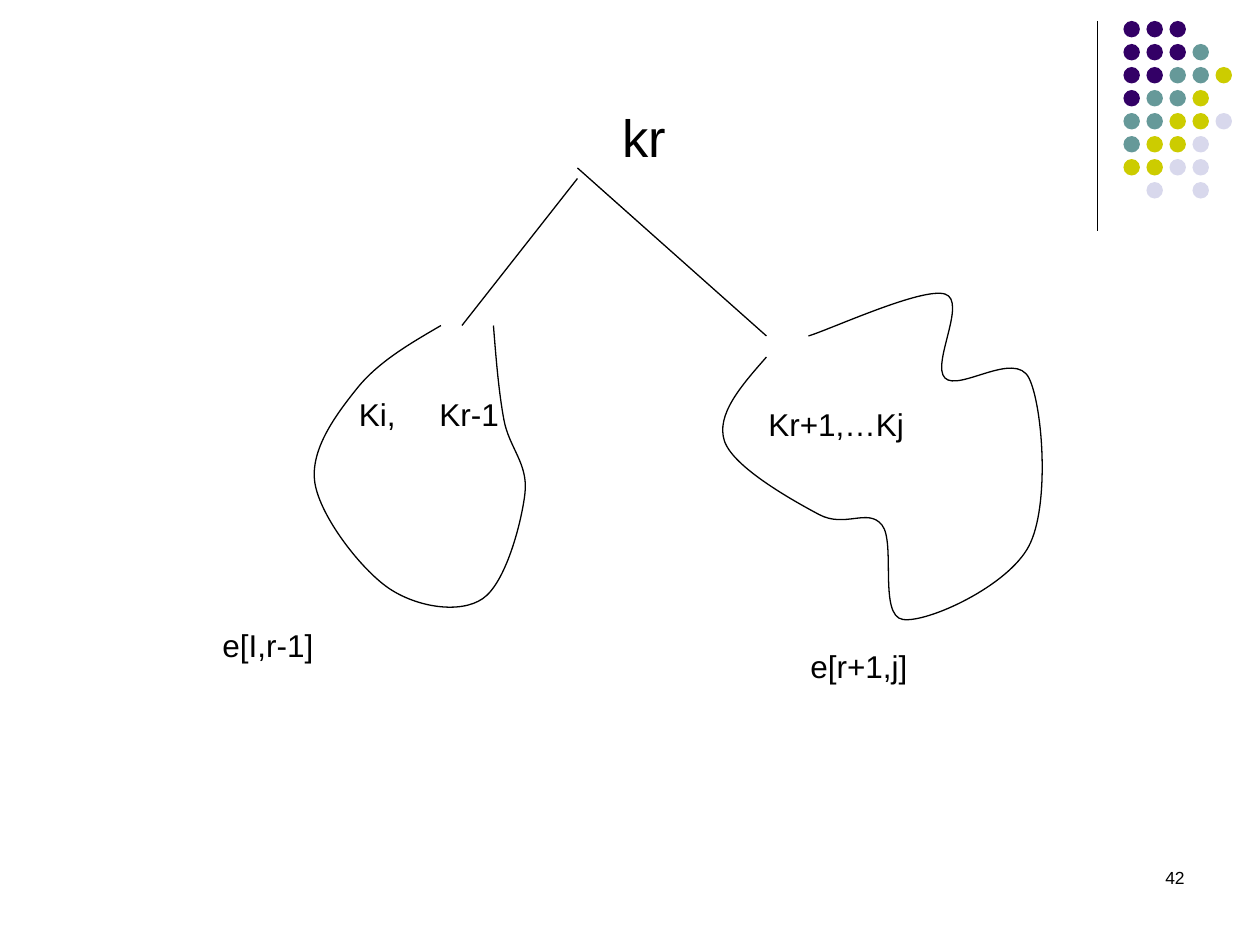
from dataclasses import dataclass

from lxml import etree
from pptx import Presentation
from pptx.dml.color import RGBColor
from pptx.enum.shapes import MSO_CONNECTOR, MSO_SHAPE
from pptx.enum.text import PP_ALIGN
from pptx.oxml.ns import qn
from pptx.util import Pt

STRAIGHT = MSO_CONNECTOR.STRAIGHT
OVAL = MSO_SHAPE.OVAL
LEFT, RIGHT = PP_ALIGN.LEFT, PP_ALIGN.RIGHT


@dataclass(frozen=True)
class Theme:
    font: str = "Arial"
    ink: str = "000000"
    purple: str = "330066"
    teal: str = "669999"
    olive: str = "CCCC00"
    lilac: str = "D8D8EC"
    root_size: float = 30
    label_size: float = 18
    number_size: float = 10
    line_width: float = 0.75


THEME = Theme()

# One letter per dot: purple, teal, olive, lilac; a dot marks a gap
DOT_ROWS = ["PPP", "PPPT", "PPTTO", "PTTO", "TTOOL", "TOOL", "OOLL", ".L.L"]
DOT_COLOURS = {"P": THEME.purple, "T": THEME.teal, "O": THEME.olive, "L": THEME.lilac}
DOT_LEFT, DOT_TOP, DOT_SIZE, DOT_PITCH = 642, 12, 9.4, 13.15

# Start point, then two control points and an end point per curve
LEFT_SUBTREE = [
    (252, 186),
    (234, 196.5), (216, 207), (204, 222),
    (192, 237), (177, 257), (180, 276),
    (183, 295), (206, 325), (222, 336),
    (238, 347), (263, 351), (276, 342),
    (289, 333), (298, 299), (300, 282),
    (302, 265), (291, 256), (288, 240),
    (285, 224), (283.5, 205), (282, 186),
]
RIGHT_SUBTREE = [
    (438, 204),
    (423.5, 220.5), (409, 237), (414, 252),
    (419, 267), (453, 286), (468, 294),
    (483, 302), (496, 290), (504, 300),
    (512, 310), (502, 352), (516, 354),
    (530, 356), (576, 335), (588, 312),
    (600, 289), (596, 232), (588, 216),
    (580, 200), (548, 224), (540, 216),
    (532, 208), (553, 172), (540, 168),
    (527, 164), (475, 188), (462, 192),
]


def set_line(shape):
    shape.line.color.rgb = RGBColor.from_string(THEME.ink)
    shape.line.width = Pt(THEME.line_width)


def add_line(page, start, end):
    line = page.shapes.add_connector(STRAIGHT, *map(Pt, start + end))
    set_line(line)
    etree.SubElement(line._element.spPr, qn("a:effectLst"))


def add_dots(page):
    for row, letters in enumerate(DOT_ROWS):
        for column, letter in enumerate(letters):
            if letter not in DOT_COLOURS:
                continue
            dot = page.shapes.add_shape(
                OVAL, Pt(DOT_LEFT + column * DOT_PITCH), Pt(DOT_TOP + row * DOT_PITCH),
                Pt(DOT_SIZE), Pt(DOT_SIZE))
            dot.shadow.inherit = False
            dot.fill.solid()
            dot.fill.fore_color.rgb = RGBColor.from_string(DOT_COLOURS[letter])
            dot.line.fill.background()


def add_curve(page, points):
    """Draw a chain of cubic curves: each three line steps become one curve."""
    knots = [(Pt(x), Pt(y)) for x, y in points]
    builder = page.shapes.build_freeform(*knots[0])
    builder.add_line_segments(knots[1:], close=False)
    curve = builder.convert_to_shape()
    curve.shadow.inherit = False
    curve.fill.background()
    set_line(curve)

    steps = list(curve._element.iter(qn("a:lnTo")))
    for first in range(0, len(steps), 3):
        bezier = etree.Element(qn("a:cubicBezTo"))
        steps[first].addprevious(bezier)
        for step in steps[first:first + 3]:
            bezier.append(step[0])
            step.getparent().remove(step)


def add_text(page, text, left, top, width, height, size=THEME.label_size,
             align=LEFT, inset=(7.2, 3.6), tab=None):
    box = page.shapes.add_textbox(Pt(left), Pt(top), Pt(width), Pt(height))
    frame = box.text_frame
    frame.word_wrap = True
    frame.margin_left, frame.margin_top = map(Pt, inset)
    para = frame.paragraphs[0]
    para.text = text
    para.alignment = align
    if tab is not None:
        stops = etree.SubElement(para._p.get_or_add_pPr(), qn("a:tabLst"))
        etree.SubElement(stops, qn("a:tab"), pos=str(Pt(tab)), algn="l")
    para.font.name = THEME.font
    para.font.size = Pt(size)
    para.font.color.rgb = RGBColor.from_string(THEME.ink)


def main():
    deck = Presentation()
    deck.slide_width, deck.slide_height = Pt(720), Pt(540)
    page = deck.slides.add_slide(deck.slide_layouts[6])

    # Corner decoration and page number
    add_line(page, (627, 12), (627, 132))
    add_dots(page)
    add_text(page, "42", 516, 492, 168, 35, THEME.number_size, RIGHT)

    # Root and its two branches
    add_text(page, "kr", 36, 54, 648, 431, THEME.root_size, inset=(319.5, 6))
    add_line(page, (330, 102), (264, 186))
    add_line(page, (330, 96), (438, 192))

    # Subtree outlines
    add_curve(page, LEFT_SUBTREE)
    add_curve(page, RIGHT_SUBTREE)

    # Subtree keys and costs
    add_text(page, "Ki,\tKr-1", 198, 222, 96, 29, tab=46)
    add_text(page, "Kr+1,…Kj", 432, 228, 180, 29)
    add_text(page, "e[I,r-1]", 120, 354, 192, 29)
    add_text(page, "e[r+1,j]", 456, 366, 180, 29)

    deck.save("out.pptx")


if __name__ == "__main__":
    main()
